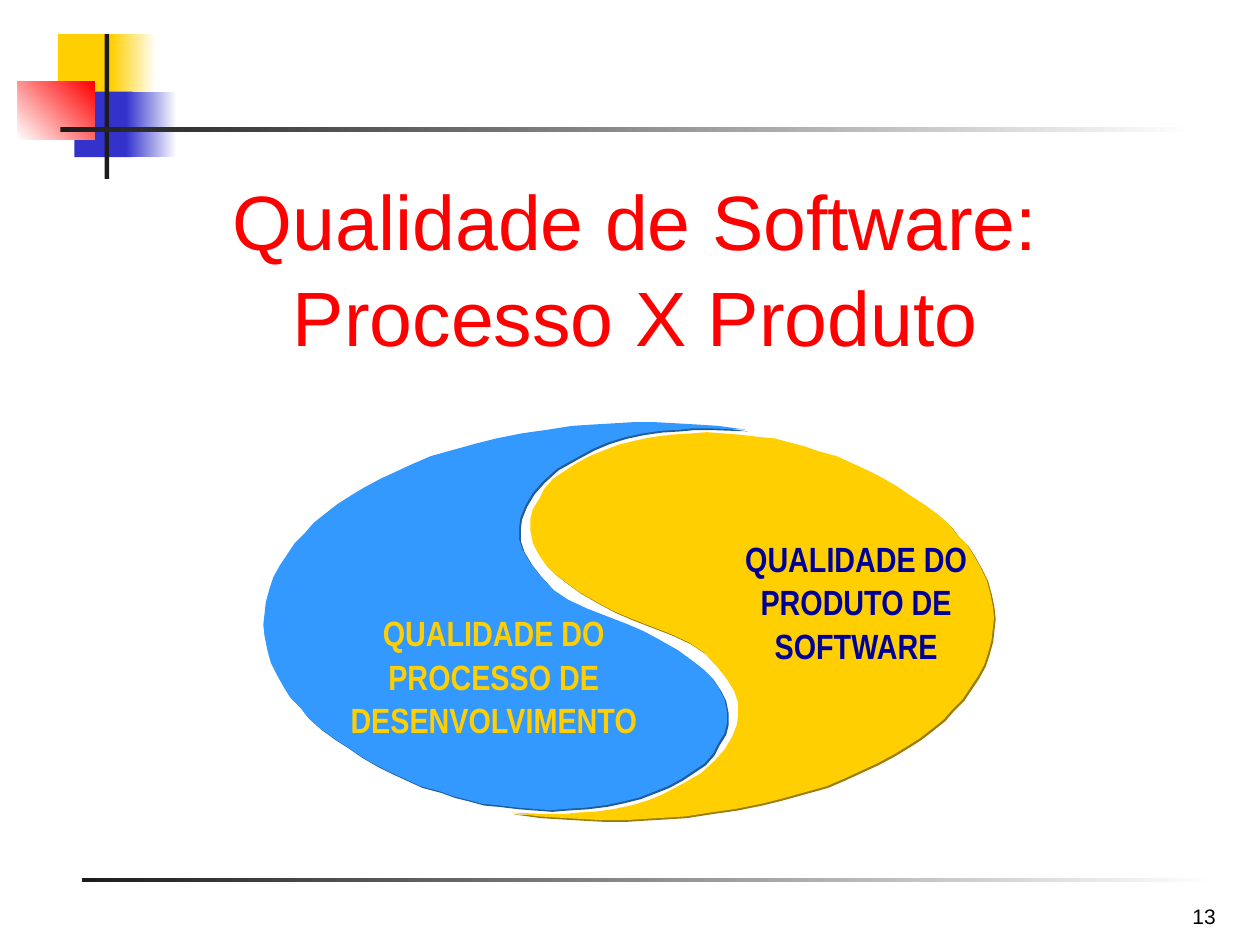
from dataclasses import dataclass

from lxml import etree
from pptx import Presentation, util as u
from pptx.dml import color as dml
from pptx.enum import shapes, text
from pptx.oxml import ns

YELLOW, BLUE, BLACK, WHITE, RED = "FFCF01", "3333CC", "1C1C1C", "FFFFFF", "FF0000"
HUNDREDTH_INCH = u.Cm(2.54) / 100
SYMMETRY_SUM = (998, 986)

YELLOW_OUTLINE = [
    (474, 478), (487, 485), (501, 491), (532, 503), (547, 510), (559, 518),
    (570, 530), (577, 539), (583, 549), (586, 558), (586, 567), (585, 575),
    (581, 585), (575, 595), (567, 604), (556, 614), (540, 623), (527, 630),
    (515, 635), (502, 639), (488, 642), (474, 644), (458, 645), (448, 646),
    (435, 646), (406, 645), (428, 648), (444, 649), (461, 650), (479, 651),
    (495, 651), (511, 650), (528, 649), (544, 648), (563, 645), (584, 642),
    (604, 638), (620, 634), (638, 629), (656, 624), (670, 618), (683, 612),
    (696, 606), (709, 599), (719, 593), (730, 586), (739, 579), (749, 571),
    (756, 563), (764, 555), (770, 546), (776, 537), (781, 528), (784, 519),
    (787, 508), (788, 499), (789, 490), (788, 481), (786, 471), (783, 460),
    (778, 450), (773, 441), (768, 433), (760, 425), (754, 417), (744, 408),
    (733, 400), (722, 393), (712, 386), (700, 379), (688, 373), (677, 368),
    (664, 362), (649, 358), (638, 354), (626, 351), (615, 348), (604, 347),
    (587, 345), (574, 344), (561, 343), (549, 344), (533, 345), (517, 347),
    (503, 350), (491, 353), (478, 358), (468, 362), (457, 368), (448, 374),
    (439, 380), (432, 388), (428, 396), (423, 404), (421, 412), (421, 421),
    (423, 431), (427, 439), (433, 448), (440, 455), (449, 462), (460, 470),
]


@dataclass
class Bar:
    left: float
    top: float
    width: float
    height: float
    start: str
    end: str = ""
    angle: int = 0


@dataclass
class Label:
    wording: str
    left: float
    top: float
    width: float
    height: float
    size: int
    font: str
    colour: str
    bold: bool = False
    align: text.PP_ALIGN = text.PP_ALIGN.CENTER
    anchor: text.MSO_ANCHOR = text.MSO_ANCHOR.TOP


BARS = [
    Bar(1.17, 0.69, 1.22, 1.32, YELLOW),
    Bar(2.24, 0.69, 0.91, 1.32, YELLOW, WHITE),
    Bar(1.5, 1.85, 1.17, 1.32, BLUE),
    Bar(2.54, 1.85, 1.02, 1.32, BLUE, WHITE),
    Bar(0.36, 1.65, 1.55, 1.17, WHITE, RED, 45),
    Bar(2.11, 0.69, 0.09, 2.92, BLACK),
    Bar(1.22, 2.57, 22.86, 0.09, BLACK, WHITE),
    Bar(1.65, 17.7, 22.86, 0.09, BLACK, WHITE),
]
TITLE = Label("Qualidade de Software: Processo X Produto", 2.49, 5.72, 20.65, 1.7,
              44, "Arial", RED, anchor=text.MSO_ANCHOR.BOTTOM)
PRODUCT = Label("QUALIDADE DO PRODUTO DE SOFTWARE", 14.4, 10.67, 5.72, 2.79,
                20, "Arial Narrow", "000099", True)
PROCESS = Label("QUALIDADE DO PROCESSO DE DESENVOLVIMENTO", 6.78, 12.17, 6.35, 2.79,
                20, "Arial Narrow", YELLOW, True)
NUMBER = Label("13", 23.06, 17.58, 1.7, 1.27, 12, "Arial", "000000",
               align=text.PP_ALIGN.RIGHT, anchor=text.MSO_ANCHOR.BOTTOM)


def paint(target, colour: str) -> None:
    target.rgb = dml.RGBColor.from_string(colour)


def fill_solid(shape, colour: str) -> None:
    shape.fill.solid()
    paint(shape.fill.fore_color, colour)
    shape.line.fill.background()
    shape.shadow.inherit = False


def draw_bar(page, bar: Bar) -> None:
    shape = page.shapes.add_shape(
        shapes.MSO_SHAPE.RECTANGLE,
        u.Cm(bar.left), u.Cm(bar.top), u.Cm(bar.width), u.Cm(bar.height))
    fill_solid(shape, bar.start)
    if bar.end:
        shape.fill.gradient()
        shape.fill.gradient_angle = bar.angle
        for stop, colour in zip(shape.fill.gradient_stops, (bar.start, bar.end)):
            paint(stop.color, colour)


def draw_half(page, outline: list[tuple[int, int]], colour: str, shade: str) -> None:
    builder = page.shapes.build_freeform(*outline[0], scale=HUNDREDTH_INCH)
    builder.add_line_segments(outline[1:], close=True)
    shape = builder.convert_to_shape()
    fill_solid(shape, colour)
    effects = shape.element.spPr.find(ns.qn("a:effectLst"))
    shadow = etree.SubElement(effects, ns.qn("a:outerShdw"), blurRad="0",
                              dist=str(u.Pt(1.4)), dir="2700000", algn="ctr",
                              rotWithShape="0")
    etree.SubElement(shadow, ns.qn("a:srgbClr"), val=shade)


def write_label(box, label: Label) -> None:
    box.left, box.top = u.Cm(label.left), u.Cm(label.top)
    box.width, box.height = u.Cm(label.width), u.Cm(label.height)
    frame = box.text_frame
    frame.word_wrap = True
    frame.auto_size = text.MSO_AUTO_SIZE.NONE
    frame.vertical_anchor = label.anchor
    para = frame.paragraphs[0]
    para.alignment = label.align
    para.line_spacing = 1.04
    span = para.add_run()
    span.text = label.wording
    span.font.name = label.font
    span.font.size = u.Pt(label.size)
    span.font.bold = label.bold
    paint(span.font.color, label.colour)


def add_label(page, label: Label) -> None:
    write_label(page.shapes.add_textbox(0, 0, 0, 0), label)


def main() -> None:
    deck = Presentation()
    deck.slide_width, deck.slide_height = u.Cm(25.4), u.Cm(19.05)
    page = deck.slides.add_slide(deck.slide_layouts[5])
    for bar in BARS:
        draw_bar(page, bar)
    sum_x, sum_y = SYMMETRY_SUM
    blue_outline = [(sum_x - x, sum_y - y) for x, y in YELLOW_OUTLINE]
    draw_half(page, YELLOW_OUTLINE, YELLOW, "997C01")
    add_label(page, PRODUCT)
    draw_half(page, blue_outline, "3399FF", "1F5C99")
    add_label(page, PROCESS)
    write_label(page.shapes.title, TITLE)
    add_label(page, NUMBER)
    deck.save("out.pptx")


if __name__ == "__main__":
    main()
